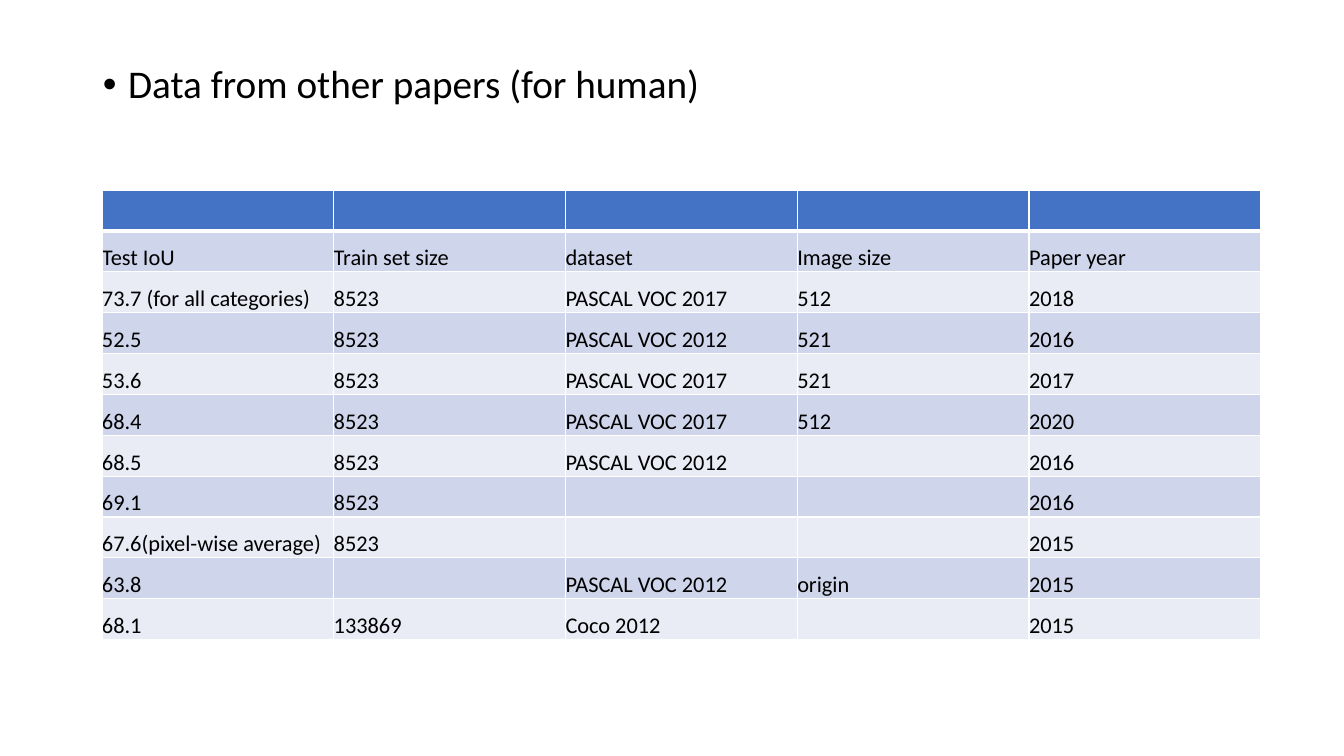
from lxml import etree
from pptx import Presentation
from pptx.dml.color import RGBColor
from pptx.enum.text import MSO_ANCHOR
from pptx.oxml.ns import qn
from pptx.util import Emu, Pt

BOTTOM = MSO_ANCHOR.BOTTOM
PX_PER_INCH = 100.8
FONT = "Calibri"
BLACK, WHITE = "000000", "FFFFFF"
HEADER_FILL = "4472C4"
BAND_FILLS = ("E9EBF5", "CFD5EA")

RESULTS = [
    ("", "", "", "", ""),
    ("Test IoU", "Train set size", "dataset", "Image size", "Paper year"),
    ("73.7 (for all categories)", "8523", "PASCAL VOC 2017", "512", "2018"),
    ("52.5", "8523", "PASCAL VOC 2012", "521", "2016"),
    ("53.6", "8523", "PASCAL VOC 2017", "521", "2017"),
    ("68.4", "8523", "PASCAL VOC 2017", "512", "2020"),
    ("68.5", "8523", "PASCAL VOC 2012", "", "2016"),
    ("69.1", "8523", "", "", "2016"),
    ("67.6(pixel-wise average)", "8523", "", "", "2015"),
    ("63.8", "", "PASCAL VOC 2012", "origin", "2015"),
    ("68.1", "133869", "Coco 2012", "", "2015"),
]


def px(length):
    return Emu(round(length * 914400 / PX_PER_INCH))


def color(hex_value):
    return RGBColor.from_string(hex_value)


def style_runs(paragraph, size):
    for run in paragraph.runs:
        run.font.name = FONT
        run.font.size = Pt(size)
        run.font.color.rgb = color(BLACK)


def add_bullet_line(slide, text, left, top, width, height):
    frame = slide.shapes.add_textbox(px(left), px(top), px(width), px(height)).text_frame
    frame.word_wrap = True
    heading = frame.paragraphs[0]
    heading.text = text
    heading.line_spacing = 0.9
    heading.space_before = Pt(10)
    style_runs(heading, 28)
    properties = heading._p.get_or_add_pPr()
    properties.set("marL", str(Pt(18)))
    properties.set("indent", str(-Pt(18)))
    etree.SubElement(properties, qn("a:buFont")).set("typeface", "Arial")
    etree.SubElement(properties, qn("a:buChar")).set("char", "•")


def set_borders(cell, top, bottom):
    """Draw white cell borders; top and bottom are widths in points."""
    properties = cell._tc.get_or_add_tcPr()
    for side, width in (("L", 1), ("R", 1), ("T", top), ("B", bottom)):
        line = etree.SubElement(properties, qn(f"a:ln{side}"), w=str(Pt(width)))
        fill = etree.SubElement(line, qn("a:solidFill"))
        etree.SubElement(fill, qn("a:srgbClr"), val=WHITE)


def fill_cell(cell, text, row):
    set_borders(cell, top=3 if row == 1 else 1, bottom=3 if row == 0 else 1)
    cell.fill.solid()
    cell.fill.fore_color.rgb = color(BAND_FILLS[row % 2] if row else HEADER_FILL)
    if text:
        cell.margin_left = cell.margin_right = cell.margin_top = cell.margin_bottom = 0
        cell.vertical_anchor = BOTTOM
        cell.text = text
        style_runs(cell.text_frame.paragraphs[0], 16)


def add_results_table(slide, rows, left, top, width, height):
    table = slide.shapes.add_table(
        len(rows), len(rows[0]), px(left), px(top), px(width), px(height)
    ).table
    for row, values in enumerate(rows):
        for column, text in enumerate(values):
            fill_cell(table.cell(row, column), text, row)


def main():
    deck = Presentation()
    deck.slide_width, deck.slide_height = px(1344), px(756)
    slide = deck.slides.add_slide(deck.slide_layouts[6])
    add_bullet_line(slide, "Data from other papers (for human)", 93, 60, 1159, 621)
    add_results_table(slide, RESULTS, 102, 190, 1159, 450)
    deck.save("out.pptx")


if __name__ == "__main__":
    main()
